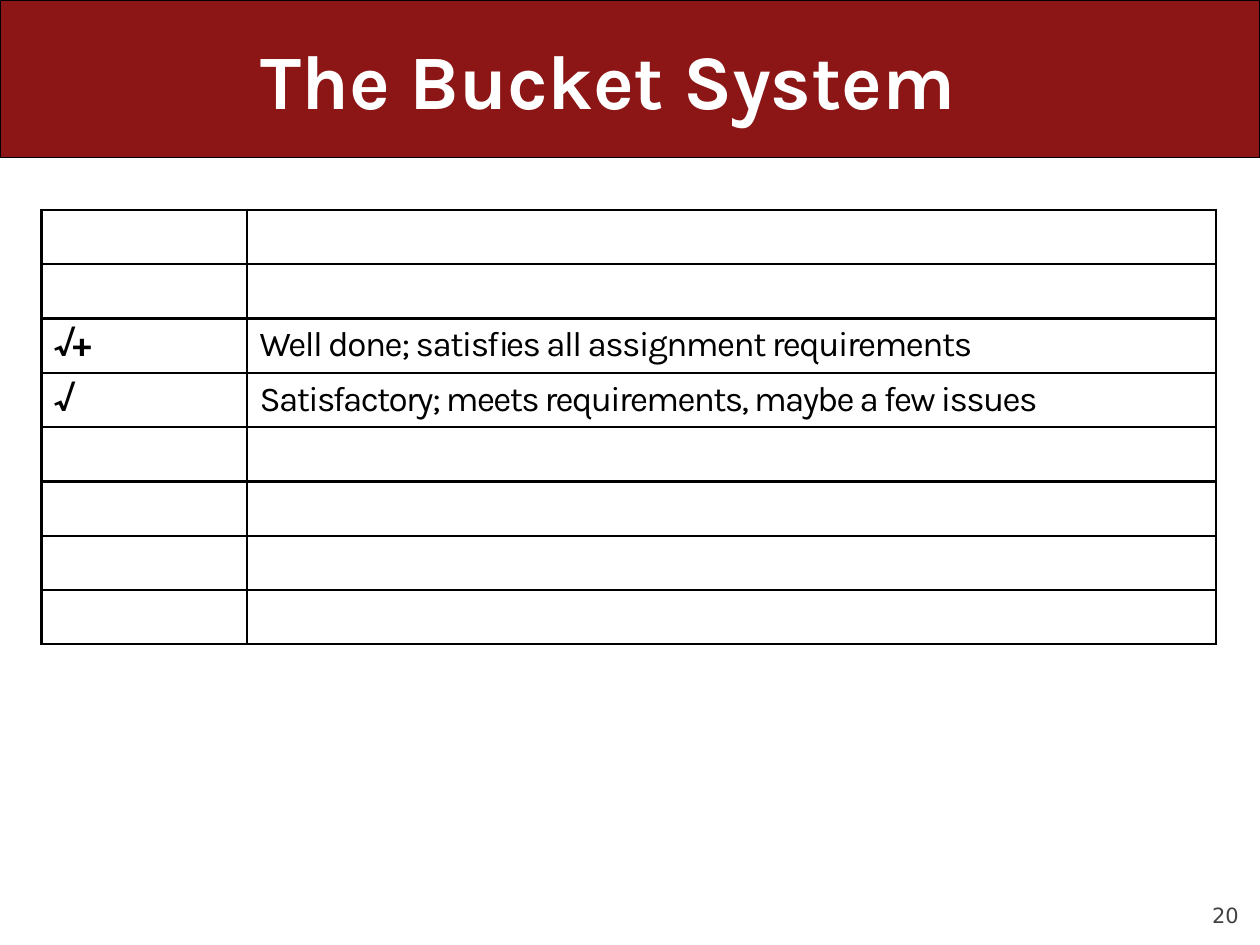
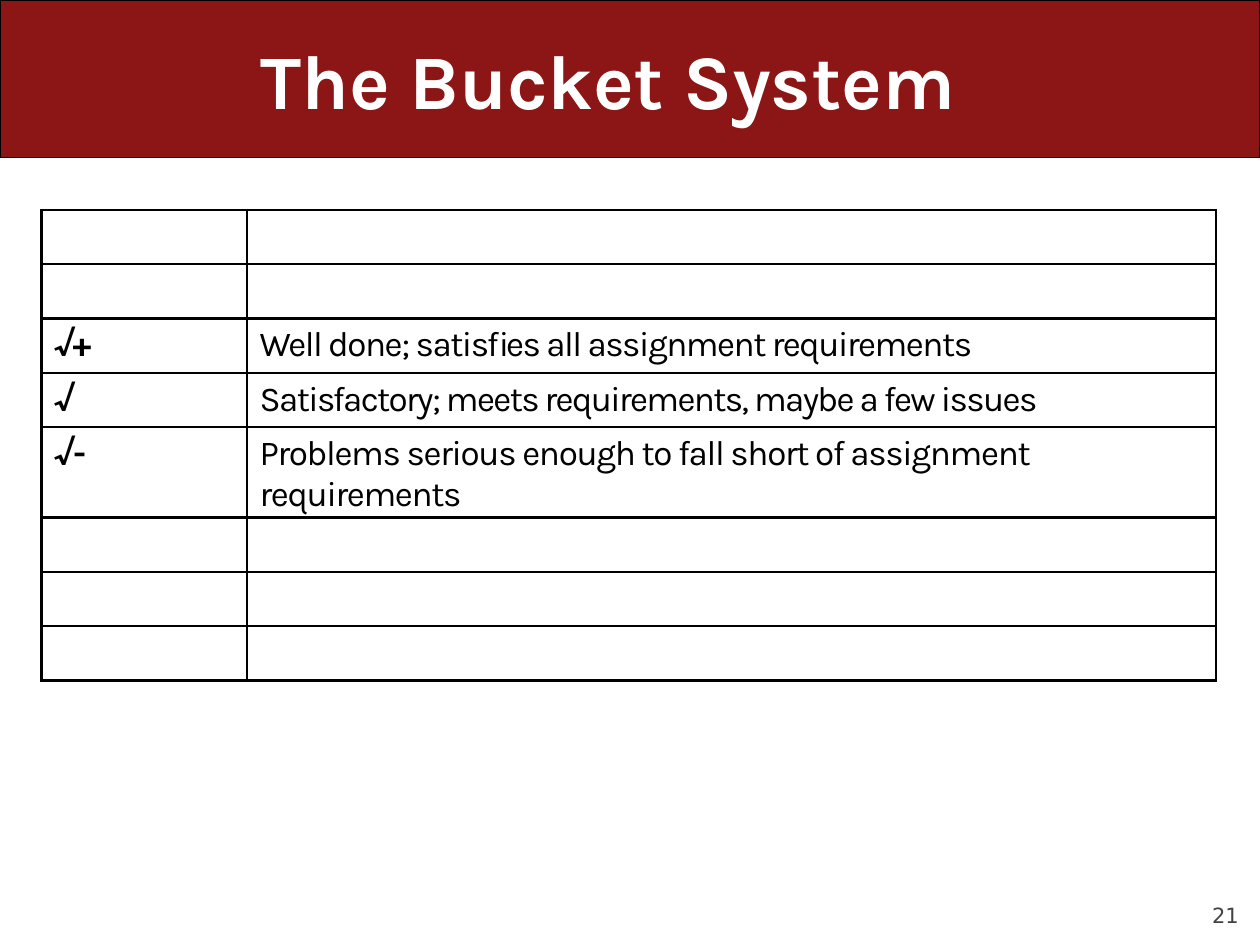
from typing import NamedTuple

from lxml.etree import SubElement
from pptx import Presentation
from pptx.dml.color import RGBColor
from pptx.enum.shapes import MSO_SHAPE
from pptx.enum.text import MSO_ANCHOR, MSO_AUTO_SIZE, PP_ALIGN
from pptx.oxml.ns import qn
from pptx.util import Emu, Inches, Pt

CARDINAL = RGBColor(0x8C, 0x15, 0x15)
WHITE = RGBColor(0xFF, 0xFF, 0xFF)
BLACK = RGBColor(0x00, 0x00, 0x00)
GRAY = RGBColor(0x42, 0x42, 0x42)
WIDE, HIGH = Inches(10), Inches(7.5)
ROWS, FIRST = 8, 2
TITLE_ONLY = 5


class Box(NamedTuple):
    left: float
    top: float
    width: float
    height: float

    def place(self) -> tuple[Emu, Emu, Emu, Emu]:
        return (Emu(int(self.left * WIDE)), Emu(int(self.top * HIGH)),
                Emu(int(self.width * WIDE)), Emu(int(self.height * HIGH)))


class Style(NamedTuple):
    face: str
    size: float
    color: RGBColor
    bold: bool = False


class Grade(NamedTuple):
    mark: str
    gap: float
    note: str
    pitch: float


BAND = Box(0, 0, 1, 1 / 6)
TITLE = Box(0.206, 0.032, 0.588, 0.101)
PAGE = Box(0.959, 0.951, 0.027, 0.031)
GRID = Box(0.033, 0.222, 0.932, 0.46)
SPLIT = 0.175

HEAD = Style("Karla", 44, WHITE, True)
MARK = Style("Karla", 20, BLACK, True)
NOTE = Style("Karla", 20, BLACK)
FOOT = Style("DejaVu Sans", 12, GRAY)

GRADES = (
    Grade("√+", -1.8, "Well done; satisfies all assignment requirements", -0.88),
    Grade("√", 0, "Satisfactory; meets requirements, maybe a few issues", -0.96),
    Grade("√-", -1.5, "Problems serious enough to fall short of assignment requirements", -0.78),
)


def write(frame, text: str, style: Style, pitch: float = 0) -> None:
    frame.text = text
    para = frame.paragraphs[0]
    para.alignment = PP_ALIGN.LEFT
    for run in para.runs:
        font = run.font
        font.name, font.size, font.bold = style.face, Pt(style.size), style.bold
        font.color.rgb = style.color
        run._r.get_or_add_rPr().set("spc", str(round(pitch * 100)))


def inset(area, left: float, top: float) -> None:
    area.margin_left, area.margin_top = Inches(left), Inches(top)
    area.margin_right = area.margin_bottom = 0
    area.vertical_anchor = MSO_ANCHOR.TOP


def frame_cell(cell) -> None:
    props = cell._tc.get_or_add_tcPr()
    for side in ("a:lnL", "a:lnR", "a:lnT", "a:lnB"):
        line = SubElement(props, qn(side), w=str(Pt(1.5)))
        fill = SubElement(line, qn("a:solidFill"))
        SubElement(fill, qn("a:srgbClr"), val=str(BLACK))
    cell.fill.background()


def add_band(slide, layout) -> None:
    band = slide.shapes.add_shape(MSO_SHAPE.RECTANGLE, *BAND.place())
    band.shadow.inherit = False
    band.fill.solid()
    band.fill.fore_color.rgb = CARDINAL
    band.line.color.rgb = BLACK
    band.line.width = Pt(0.75)
    layout.shapes.element.insert(2, band.element)


def add_title(slide, text: str) -> None:
    title = slide.shapes.title
    title.left, title.top, title.width, title.height = TITLE.place()
    frame = title.text_frame
    inset(frame, 0.01, 0.02)
    frame.word_wrap = True
    frame.auto_size = MSO_AUTO_SIZE.SHAPE_TO_FIT_TEXT
    write(frame, text, HEAD, -0.1)


def add_page(slide, page: int) -> None:
    frame = slide.shapes.add_textbox(*PAGE.place()).text_frame
    inset(frame, 0.03, 0.03)
    frame.word_wrap = True
    write(frame, str(page), FOOT)


def add_grid(slide, grades: tuple[Grade, ...]) -> None:
    left, top, width, height = GRID.place()
    table = slide.shapes.add_table(ROWS, 2, left, top, width, height).table
    table.first_row = table.horz_banding = False
    table.columns[0].width = Emu(int(width * SPLIT))
    table.columns[1].width = Emu(width - table.columns[0].width)
    for cell in table.iter_cells():
        inset(cell, 0.1, 0.05)
        frame_cell(cell)
    for row, grade in enumerate(grades, FIRST):
        write(table.cell(row, 0).text_frame, grade.mark, MARK, grade.gap)
        write(table.cell(row, 1).text_frame, grade.note, NOTE, grade.pitch)


def main() -> None:
    deck = Presentation()
    deck.slide_width, deck.slide_height = WIDE, HIGH
    layout = deck.slide_layouts[TITLE_ONLY]
    for page, count in ((20, 2), (21, 3)):
        slide = deck.slides.add_slide(layout)
        if page == 20:
            add_band(slide, layout)
        add_title(slide, "The Bucket System")
        add_page(slide, page)
        add_grid(slide, GRADES[:count])
    deck.save("out.pptx")


if __name__ == "__main__":
    main()
